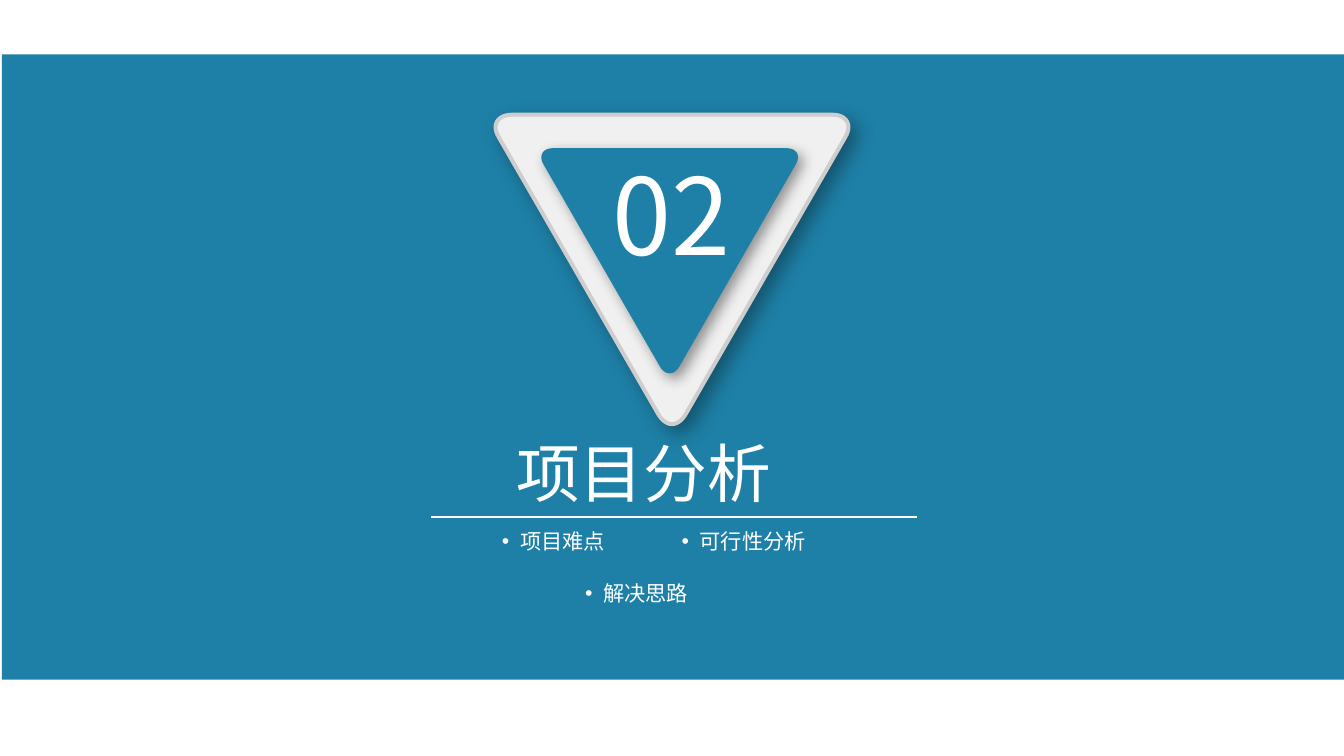
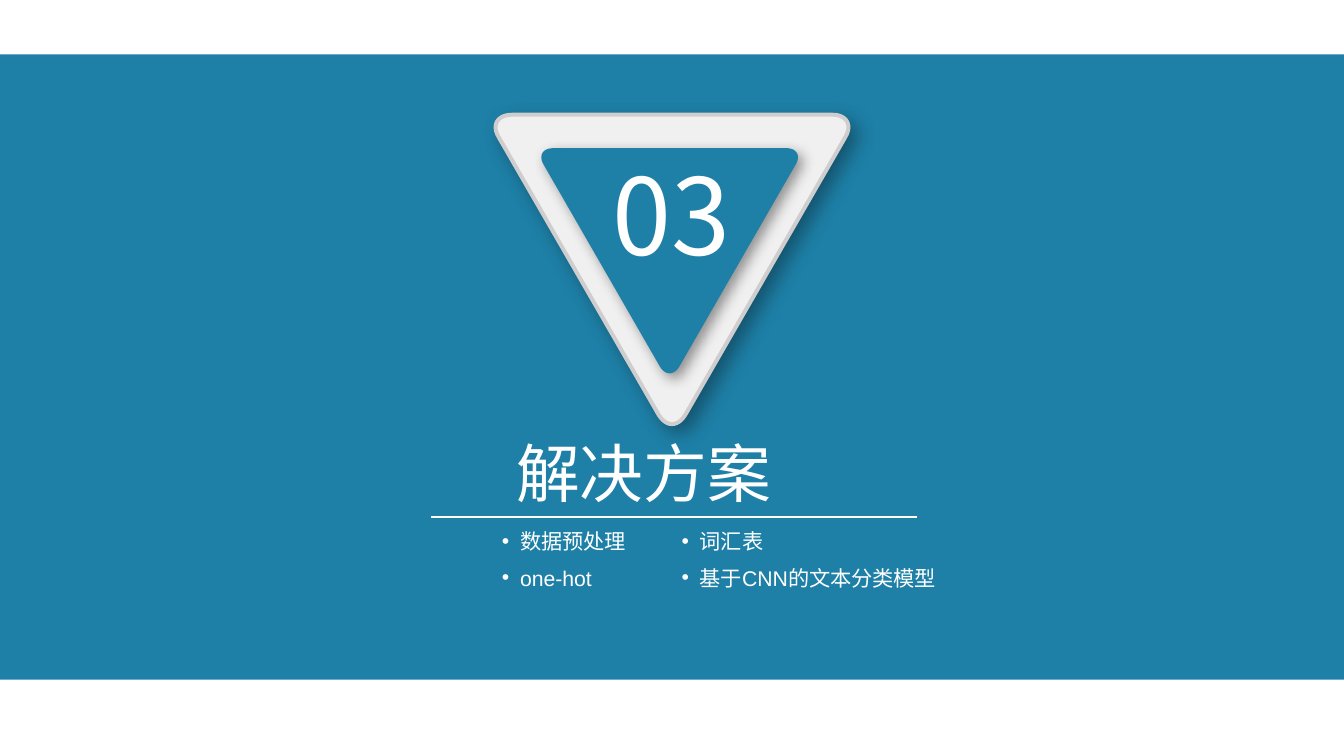
"""Builds two section-divider slides with a numbered triangle, title and topic list."""
from lxml import etree
from pptx import Presentation
from pptx.dml.color import RGBColor
from pptx.enum.shapes import MSO_CONNECTOR, MSO_SHAPE
from pptx.enum.text import MSO_ANCHOR, MSO_AUTO_SIZE, PP_ALIGN
from pptx.oxml.ns import qn
from pptx.util import Inches, Pt

RECT, STRAIGHT = MSO_SHAPE.RECTANGLE, MSO_CONNECTOR.STRAIGHT
TOP, MIDDLE = MSO_ANCHOR.TOP, MSO_ANCHOR.MIDDLE
LEFT, CENTER = PP_ALIGN.LEFT, PP_ALIGN.CENTER
NO_FIT = MSO_AUTO_SIZE.NONE

SLIDE_W, SLIDE_H = 14.06, 7.91
COMPARISON_LAYOUT = 4
COLUMNS = {"left": (5.15, 1.88), "middle": (6.02, 1.88), "right": (7.03, 2.87)}
LIST_TOP, ROW_STEP, ROW_H = 5.48, 0.38, 0.37

SECTIONS = [
    {"number": "02", "title": "项目分析", "band_left": 0.02, "topics": [
        ("项目难点", "left", 0), ("可行性分析", "right", 0), ("解决思路", "middle", 1.42)]},
    {"number": "03", "title": "解决方案", "band_left": 0, "topics": [
        ("数据预处理", "left", 0), ("词汇表", "right", 0),
        ("one-hot", "left", 1), ("基于CNN的文本分类模型", "right", 1)]},
]

THEME = {
    "blue": "1E80A7", "white": "FFFFFF", "panel": "F0F0F0", "rim": "D0CDCF",
    "number": {"size": 80, "font": "Noto Sans CJK SC", "align": CENTER},
    "title": {"size": 48, "font": "Arial", "align": LEFT},
    "topic": {"size": 16, "font": "Arial", "align": LEFT},
}

TRIANGLE_CORNERS = [
    [(2.1, 7.3), (0, 3.4), (1.6, 0), (5.8, 0)],
    [(94.4, 0), (98.4, 0), (100, 3.4), (97.9, 7.3)],
    [(53.7, 96), (51.6, 100), (48.4, 100), (46.3, 96)],
]
TRIANGLES = [
    {"box": (5.14, 1.2, 3.78, 3.27), "fill": "panel", "rim": 3, "shadow": (35, 15, 7)},
    {"box": (5.63, 1.55, 2.75, 2.38), "fill": "blue", "rim": 0, "shadow": (40, 10, 5)},
]


def rgb(name):
    return RGBColor.from_string(THEME[name])


def place(sp, left, top, width, height):
    for name, value in zip(("left", "top", "width", "height"), (left, top, width, height)):
        setattr(sp, name, Inches(value))


def paint(sp, fill):
    sp.shadow.inherit = False
    sp.fill.solid()
    sp.fill.fore_color.rgb = rgb(fill)
    sp.line.fill.background()


def corner_points(corner, steps=12):
    """Samples a cubic curve through its four control points."""
    for i in range(steps + 1):
        t = i / steps
        weights = ((1 - t) ** 3, 3 * t * (1 - t) ** 2, 3 * t * t * (1 - t), t ** 3)
        yield tuple(sum(w * c[axis] for w, c in zip(weights, corner)) for axis in (0, 1))


def add_shadow(sp, alpha, blur, dist):
    effects = sp.element.spPr.find(qn("a:effectLst"))
    outer = etree.SubElement(effects, qn("a:outerShdw"), blurRad=str(Pt(blur)),
                             dist=str(Pt(dist)), dir=str(45 * 60000), algn="tl", rotWithShape="0")
    color = etree.SubElement(outer, qn("a:srgbClr"), val="000000")
    etree.SubElement(color, qn("a:alpha"), val=str(alpha * 1000))


def add_triangle(group, box, fill, rim, shadow):
    left, top, width, height = box
    points = [(Inches(left + width * x / 100), Inches(top + height * y / 100))
              for corner in TRIANGLE_CORNERS for x, y in corner_points(corner)]
    builder = group.shapes.build_freeform(*points[0])
    builder.add_line_segments(points[1:], close=True)
    sp = builder.convert_to_shape()
    paint(sp, fill)
    if rim:
        sp.line.color.rgb = rgb("rim")
        sp.line.width = Pt(rim)
    add_shadow(sp, *shadow)


def write(sp, text, style, anchor=TOP, inset=None):
    look = THEME[style]
    tf = sp.text_frame
    frame = {"word_wrap": True, "auto_size": NO_FIT, "vertical_anchor": anchor}
    if inset is not None:
        frame.update({f"margin_{side}": inset for side in ("left", "right", "top", "bottom")})
    for name, value in frame.items():
        setattr(tf, name, value)
    p = tf.paragraphs[0]
    p.alignment, p.space_before, p.line_spacing = look["align"], Pt(0), 1.0
    r = p.add_run()
    r.text = text
    for name, value in {"size": Pt(look["size"]), "name": look["font"], "bold": False}.items():
        setattr(r.font, name, value)
    r.font.color.rgb = rgb("white")
    etree.SubElement(r.font._element, qn("a:ea"), typeface=look["font"])
    return p


def add_bullet(p):
    pPr = p._p.get_or_add_pPr()
    pPr.set("marL", str(Inches(0.19)))
    pPr.set("indent", str(-Inches(0.19)))
    etree.SubElement(pPr, qn("a:buFont"), typeface="Arial")
    etree.SubElement(pPr, qn("a:buChar"), char="•")


def bring_to_front(sp):
    sp.element.getparent().append(sp.element)


def add_rule(s):
    rule = s.shapes.add_connector(STRAIGHT, *map(Inches, (4.51, 5.41, 9.59, 5.41)))
    rule.line.color.rgb = rgb("white")
    rule.line.width = Pt(2)
    etree.SubElement(rule.element.spPr, qn("a:effectLst"))


def add_section(prs, number, title, band_left, topics):
    s = prs.slides.add_slide(prs.slide_layouts[COMPARISON_LAYOUT])
    bodies = [sp for sp in s.placeholders if sp.placeholder_format.idx]

    band = s.shapes.add_shape(RECT, *map(Inches, (band_left, 0.57, SLIDE_W - band_left, 6.54)))
    paint(band, "blue")
    group = s.shapes.add_group_shape()
    for triangle in TRIANGLES:
        add_triangle(group, **triangle)
    write(s.shapes.add_textbox(*map(Inches, (5.48, 1.51, 3.1, 1.71))), number, "number")
    add_rule(s)

    heading = s.shapes.title
    place(heading, 5.4, 4.53, 4.38, 0.81)
    write(heading, title, "title", MIDDLE, 0)
    bring_to_front(heading)

    for sp, (text, column, row) in zip(bodies, topics):
        left, width = COLUMNS[column]
        place(sp, left, LIST_TOP + row * ROW_STEP, width, ROW_H)
        add_bullet(write(sp, text, "topic"))
        bring_to_front(sp)
    for sp in bodies[len(topics):]:
        sp.element.getparent().remove(sp.element)


def main():
    prs = Presentation()
    prs.slide_width, prs.slide_height = Inches(SLIDE_W), Inches(SLIDE_H)
    for section in SECTIONS:
        add_section(prs, **section)
    prs.save("out.pptx")


if __name__ == "__main__":
    main()
